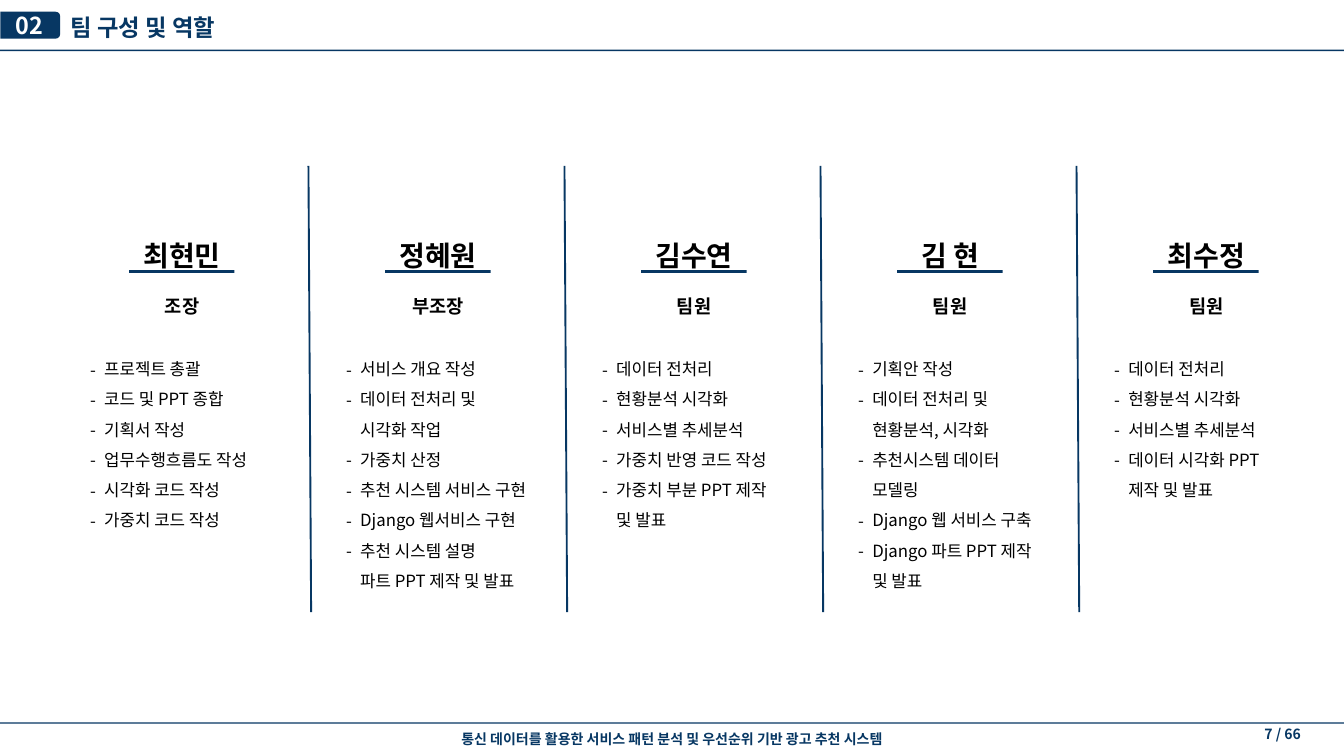
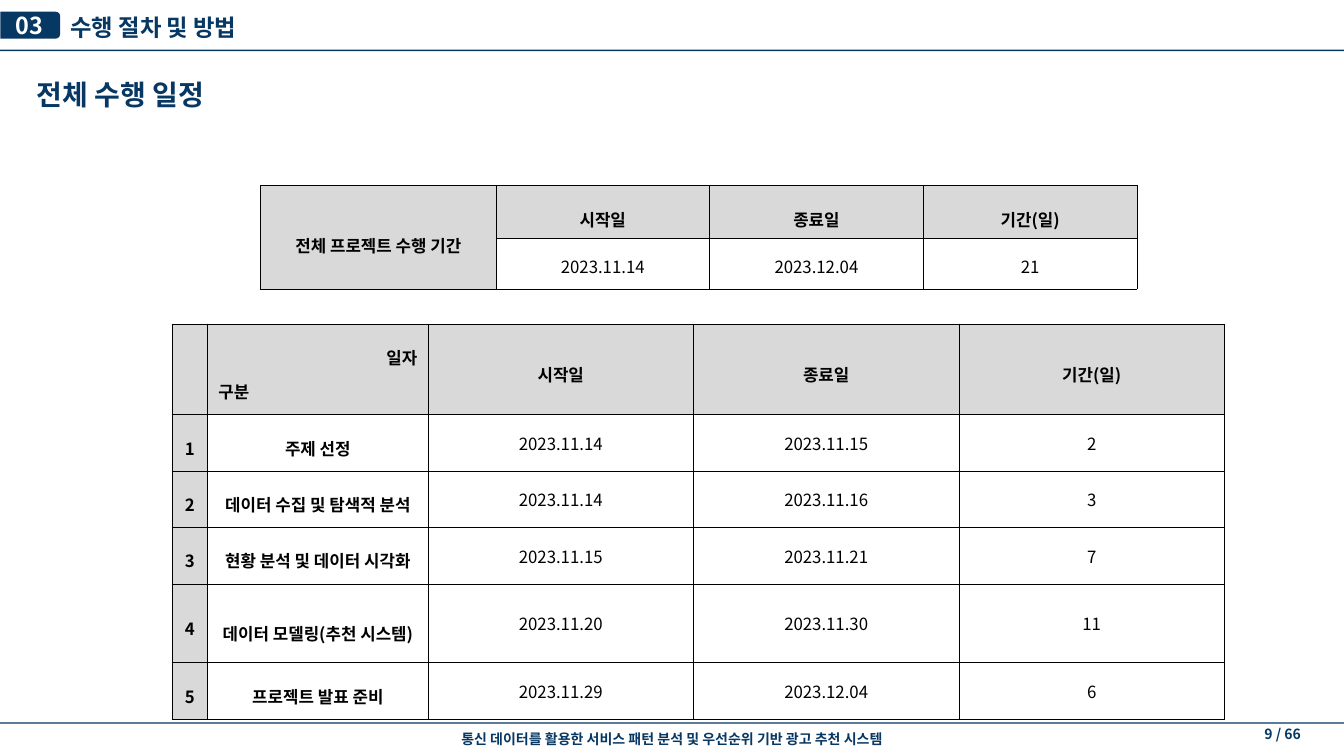
from copy import deepcopy

from lxml import etree
from pptx import Presentation
from pptx.dml.color import RGBColor
from pptx.enum.shapes import MSO_CONNECTOR, MSO_SHAPE
from pptx.enum.text import MSO_ANCHOR, MSO_AUTO_SIZE, PP_ALIGN
from pptx.oxml.ns import qn
from pptx.util import Inches, Pt

NAVY = RGBColor(0x07, 0x37, 0x63)
BLACK = RGBColor(0, 0, 0)
WHITE = RGBColor(255, 255, 255)
GRAY = RGBColor(0xD9, 0xD9, 0xD9)
FONT = "Noto Sans CJK KR"

LEFT, CENTER, RIGHT = PP_ALIGN.LEFT, PP_ALIGN.CENTER, PP_ALIGN.RIGHT
TOP, MIDDLE = MSO_ANCHOR.TOP, MSO_ANCHOR.MIDDLE
RECTANGLE, TAB = MSO_SHAPE.RECTANGLE, MSO_SHAPE.ROUND_2_SAME_RECTANGLE
STRAIGHT = MSO_CONNECTOR.STRAIGHT
NO_AUTOFIT = MSO_AUTO_SIZE.NONE

FOOTER = "통신 데이터를 활용한 서비스 패턴 분석 및 우선순위 기반 광고 추천 시스템"
PAGE_COUNT = 66
MEMBER_PITCH = 3.81
MEMBER_LEFT = 1.34
MEMBER_WIDTH = 2.74
DUTIES_WIDTH = 2.9
CELL_MARGIN = 0.16

# A vertical tab is a line break inside one duty.
MEMBERS = [
    ("최현민", "조장", [
        "프로젝트 총괄", "코드 및 PPT 종합", "기획서 작성",
        "업무수행흐름도 작성", "시각화 코드 작성", "가중치 코드 작성"]),
    ("정혜원", "부조장", [
        "서비스 개요 작성", "데이터 전처리 및\v시각화 작업", "가중치 산정",
        "추천 시스템 서비스 구현", "Django 웹서비스 구현",
        "추천 시스템 설명\v파트 PPT 제작 및 발표"]),
    ("김수연", "팀원", [
        "데이터 전처리", "현황분석 시각화", "서비스별 추세분석",
        "가중치 반영 코드 작성", "가중치 부분 PPT 제작\v및 발표"]),
    ("김 현", "팀원", [
        "기획안 작성", "데이터 전처리 및\v현황분석, 시각화",
        "추천시스템 데이터\v모델링", "Django 웹 서비스 구축",
        "Django 파트 PPT 제작\v및 발표"]),
    ("최수정", "팀원", [
        "데이터 전처리", "현황분석 시각화", "서비스별 추세분석",
        "데이터 시각화 PPT\v제작 및 발표"]),
]

PERIOD = [
    ["전체 프로젝트 수행 기간", "시작일", "종료일", "기간(일)"],
    ["", "2023.11.14", "2023.12.04", "21"],
]

SCHEDULE = [
    ["", "일자\n구분", "시작일", "종료일", "기간(일)"],
    ["1", "주제 선정", "2023.11.14", "2023.11.15", "2"],
    ["2", "데이터 수집 및 탐색적 분석", "2023.11.14", "2023.11.16", "3"],
    ["3", "현황 분석 및 데이터 시각화", "2023.11.15", "2023.11.21", "7"],
    ["4", "데이터 모델링(추천 시스템)", "2023.11.20", "2023.11.30", "11"],
    ["5", "프로젝트 발표 준비", "2023.11.29", "2023.12.04", "6"],
]
MODELING_ROW = 4


def box(left, top, width, height):
    return Inches(left), Inches(top), Inches(width), Inches(height)


def place(shape, left, top, width, height):
    shape.left, shape.top, shape.width, shape.height = box(left, top, width, height)


def add_dash(paragraph):
    properties = paragraph._p.get_or_add_pPr()
    properties.set("marL", str(Inches(0.21)))
    properties.set("indent", str(-Inches(0.21)))
    etree.SubElement(properties, qn("a:buFont"), typeface=FONT)
    etree.SubElement(properties, qn("a:buChar"), char="-")


def write_paragraphs(frame, text, size=18, color=BLACK, bold=False, align=LEFT,
                     spacing=1.0, dashed=False):
    """Fill a text frame, one paragraph for each line of text."""
    for index, line in enumerate(text.split("\n")):
        paragraph = frame.add_paragraph() if index else frame.paragraphs[0]
        paragraph.text = line
        if dashed:
            add_dash(paragraph)
        paragraph.alignment = align
        paragraph.line_spacing = spacing
        paragraph.space_before = Pt(0)
        for run in paragraph.runs:
            run.font.size = Pt(size)
            run.font.bold = bold
            run.font.color.rgb = color
            run.font.name = FONT
            etree.SubElement(run._r.rPr, qn("a:ea"), typeface=FONT)
        for line_break in paragraph._p.findall(qn("a:br")):
            line_break.append(deepcopy(paragraph.runs[0]._r.rPr))


def write_text(shape, text, anchor=TOP, **text_format):
    """Write into a shape that has no inner margins."""
    frame = shape.text_frame
    frame.word_wrap = True
    frame.auto_size = NO_AUTOFIT
    frame.vertical_anchor = anchor
    frame.margin_left = frame.margin_right = 0
    frame.margin_top = frame.margin_bottom = 0
    write_paragraphs(frame, text, **text_format)


def add_text(slide, text, area, **text_format):
    write_text(slide.shapes.add_textbox(*box(*area)), text, **text_format)


def add_navy_shape(slide, kind, area):
    shape = slide.shapes.add_shape(kind, *box(*area))
    shape.shadow.inherit = False
    shape.fill.solid()
    shape.fill.fore_color.rgb = NAVY
    shape.line.fill.background()
    return shape


def add_divider(slide, left):
    divider = slide.shapes.add_connector(
        STRAIGHT, Inches(left), Inches(2.47), Inches(left + 0.04), Inches(9.11))
    divider.line.color.rgb = NAVY
    divider.line.width = Pt(2)
    etree.SubElement(divider._element.spPr, qn("a:effectLst"))


def add_framed_slide(presentation, layout, section, title, page):
    """Add a slide with the section tab, title, rules and footer."""
    slide = presentation.slides.add_slide(layout)
    place(slide.shapes.title, 1.05, 0.12, 6.08, 0.5)
    write_text(slide.shapes.title, title, size=25, color=NAVY, bold=True,
               spacing=1.2)
    tab = add_navy_shape(slide, TAB, (0.25, -0.07, 0.4, 0.89))
    tab.rotation = 90
    write_text(tab, section, size=25, color=WHITE, bold=True, align=CENTER,
               anchor=MIDDLE)
    tab.text_frame._txBody.bodyPr.set("vert", "vert270")
    for rule_top in (0.74, 10.75):
        add_navy_shape(slide, RECTANGLE, (0, rule_top, 20, 0.02))
    footer_format = dict(size=15, color=NAVY, bold=True)
    add_text(slide, FOOTER, (5.01, 10.8, 9.98, 0.34), align=CENTER,
             spacing=1.26, **footer_format)
    add_text(slide, f"{page} / {PAGE_COUNT}", (9.48, 10.8, 9.88, 0.3),
             align=RIGHT, **footer_format)
    return slide


def add_list_placeholders(layout, count):
    """Repeat the layout's body placeholder until there are count of them."""
    body = layout.placeholders[1]._element
    for index in range(1, count):
        copy = deepcopy(body)
        copy.nvSpPr.cNvPr.set("id", str(100 + index))
        copy.nvSpPr.cNvPr.set("name", f"Content Placeholder {100 + index}")
        copy.find(".//" + qn("p:ph")).set("idx", str(100 + index))
        layout.shapes._spTree.append(copy)


def add_member(slide, body, left, name, role, duties):
    add_text(slide, name, (left, 3.3, MEMBER_WIDTH, 0.76), size=30, bold=True,
             align=CENTER, spacing=1.5)
    add_navy_shape(slide, RECTANGLE, (left + 0.58, 4.02, 1.57, 0.04))
    add_text(slide, role, (left, 4.22, MEMBER_WIDTH, 0.5), size=20, bold=True,
             align=CENTER, spacing=1.5)
    place(body, left, 5.19, DUTIES_WIDTH, 3.64)
    write_text(body, "\n".join(duties), spacing=1.5, dashed=True)


def add_borders(cell):
    properties = cell._tc.get_or_add_tcPr()
    for side in ("lnL", "lnR", "lnT", "lnB"):
        line = etree.SubElement(properties, qn(f"a:{side}"), w=str(Pt(1)))
        fill = etree.SubElement(line, qn("a:solidFill"))
        etree.SubElement(fill, qn("a:srgbClr"), val=str(BLACK))


def write_cell(cell, text, label, shaded, bottom_margin):
    write_paragraphs(cell.text_frame, text, bold=label, align=CENTER,
                     spacing=1.4 if label else 1.0)
    cell.vertical_anchor = MIDDLE
    cell.margin_left = cell.margin_right = Inches(CELL_MARGIN)
    cell.margin_top = Inches(CELL_MARGIN)
    cell.margin_bottom = Inches(bottom_margin)
    add_borders(cell)
    cell.fill.solid()
    cell.fill.fore_color.rgb = GRAY if shaded else WHITE


def add_grid(slide, rows, left, top, widths, heights, label_columns,
             bottom_margin=CELL_MARGIN):
    """Add a table; the first row and the first columns hold bold labels."""
    table = slide.shapes.add_table(
        len(rows), len(widths), *box(left, top, sum(widths), sum(heights))).table
    table.first_row = table.horz_banding = False
    for column, width in zip(table.columns, widths):
        column.width = Inches(width)
    for row, height in zip(table.rows, heights):
        row.height = Inches(height)
    for row_index, row in enumerate(rows):
        for column_index, text in enumerate(row):
            label = row_index == 0 or column_index < label_columns
            shaded = row_index == 0 or column_index == 0
            write_cell(table.cell(row_index, column_index), text, label, shaded,
                       bottom_margin)
    return table


def build_team(presentation):
    layout = presentation.slide_layouts[1]
    add_list_placeholders(layout, len(MEMBERS))
    slide = add_framed_slide(presentation, layout, "02", "팀 구성 및 역할", 7)
    bodies = list(slide.placeholders)[1:]
    for index, (body, member) in enumerate(zip(bodies, MEMBERS)):
        left = MEMBER_LEFT + index * MEMBER_PITCH
        add_member(slide, body, left, *member)
        if index:
            add_divider(slide, left - 0.56)


def build_schedule(presentation):
    layout = presentation.slide_layouts[5]
    slide = add_framed_slide(presentation, layout, "03", "수행 절차 및 방법", 9)
    add_text(slide, "전체 수행 일정", (0.55, 1.06, 6.08, 0.61), size=30,
             color=NAVY, bold=True, spacing=1.2)
    schedule = add_grid(slide, SCHEDULE, 2.56, 4.82, [0.53, 3.28] + [3.95] * 3,
                        [1.35] + [0.84] * 5, label_columns=2)
    date_label, task_label = schedule.cell(0, 1).text_frame.paragraphs
    date_label.alignment = RIGHT
    task_label.alignment = LEFT
    # The two-line task needs no bottom margin, so the table ends above the footer.
    schedule.cell(MODELING_ROW, 1).margin_bottom = 0
    schedule.rows[MODELING_ROW].height = Inches(1.14)
    period = add_grid(slide, PERIOD, 3.88, 2.76, [3.5] + [3.18] * 3,
                      [0.79, 0.75], label_columns=1, bottom_margin=0.08)
    period.cell(0, 0).merge(period.cell(1, 0))


def main():
    presentation = Presentation()
    presentation.slide_width = Inches(20)
    presentation.slide_height = Inches(11.25)
    build_team(presentation)
    build_schedule(presentation)
    presentation.save("out.pptx")


if __name__ == "__main__":
    main()
